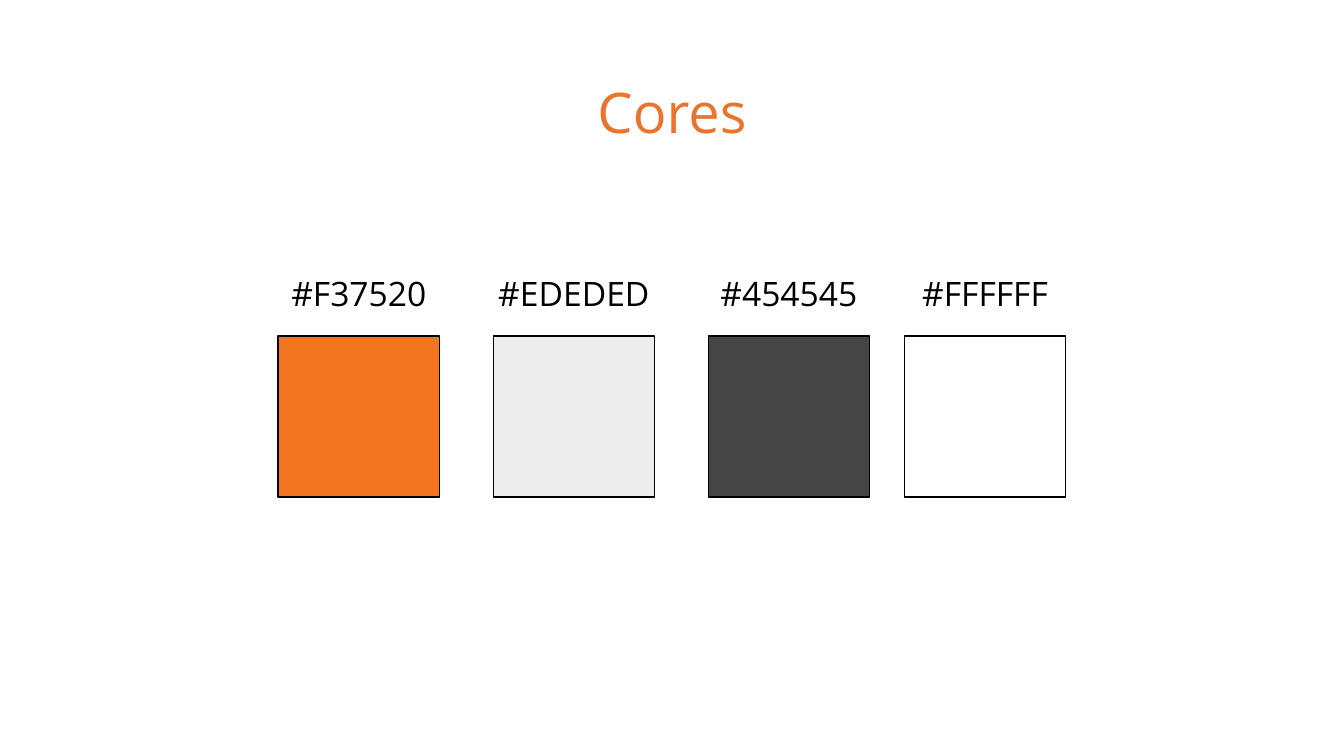
from dataclasses import dataclass

from pptx import Presentation
from pptx.dml.color import RGBColor as Rgb
from pptx.enum.shapes import MSO_SHAPE as Shape
from pptx.enum.text import MSO_ANCHOR as Anchor, MSO_AUTO_SIZE as AutoSize, PP_ALIGN as Align
from pptx.slide import Slide
from pptx.text.text import TextFrame
from pptx.util import Emu, Pt

PX = 4572  # 200 px to the inch
FONT = "Open Sans"
COLORS = {"title": "EA742E", "ink": "000000", "page": "FFFFFF"}

INSET = 20
SWATCH_TOP, SWATCH_SIZE = 500, 240
LABEL_TOP, LABEL_WIDTH, LABEL_HEIGHT = 386, 286, 98


@dataclass(frozen=True)
class Swatch:
    left: int
    color: str


SWATCHES = [
    Swatch(414, "F37520"),
    Swatch(734, "EDEDED"),
    Swatch(1054, "454545"),
    Swatch(1346, "FFFFFF"),
]


def px(*lengths: int) -> list[Emu]:
    return [Emu(length * PX) for length in lengths]


def write_text(frame: TextFrame, text: str, size: int, color: str) -> None:
    frame.text = text
    frame.word_wrap = True
    frame.auto_size = AutoSize.SHAPE_TO_FIT_TEXT
    frame.vertical_anchor = Anchor.TOP
    frame.margin_left, frame.margin_top, frame.margin_right, frame.margin_bottom = px(*[INSET] * 4)
    para = frame.paragraphs[0]
    para.alignment = Align.CENTER
    para.line_spacing = 1.0
    para.space_before, para.space_after = Pt(0), Pt(10)
    font = para.runs[0].font
    font.name, font.size = FONT, Pt(size)
    font.color.rgb = Rgb.from_string(color)


def draw_swatch(page: Slide, swatch: Swatch) -> None:
    # Colour square
    square = page.shapes.add_shape(
        Shape.RECTANGLE, *px(swatch.left, SWATCH_TOP, SWATCH_SIZE, SWATCH_SIZE))
    square.shadow.inherit = False
    square.fill.solid()
    square.fill.fore_color.rgb = Rgb.from_string(swatch.color)
    square.line.color.rgb = Rgb.from_string(COLORS["ink"])
    square.line.width = Pt(0.75)

    # Hex code centred above the square
    label_left = swatch.left - (LABEL_WIDTH - SWATCH_SIZE) // 2
    label = page.shapes.add_textbox(*px(label_left, LABEL_TOP, LABEL_WIDTH, LABEL_HEIGHT))
    write_text(label.text_frame, f"#{swatch.color}", 18, COLORS["ink"])


def main() -> None:
    deck = Presentation()
    deck.slide_width, deck.slide_height = px(2000, 1125)
    page = deck.slides.add_slide(deck.slide_layouts[5])
    page.background.fill.solid()
    page.background.fill.fore_color.rgb = Rgb.from_string(COLORS["page"])

    # Title
    title = page.shapes.title
    title.left, title.top, title.width, title.height = px(68, 96, 1864, 126)
    write_text(title.text_frame, "Cores", 30, COLORS["title"])

    # Palette
    for swatch in SWATCHES:
        draw_swatch(page, swatch)

    deck.save("out.pptx")


if __name__ == "__main__":
    main()
